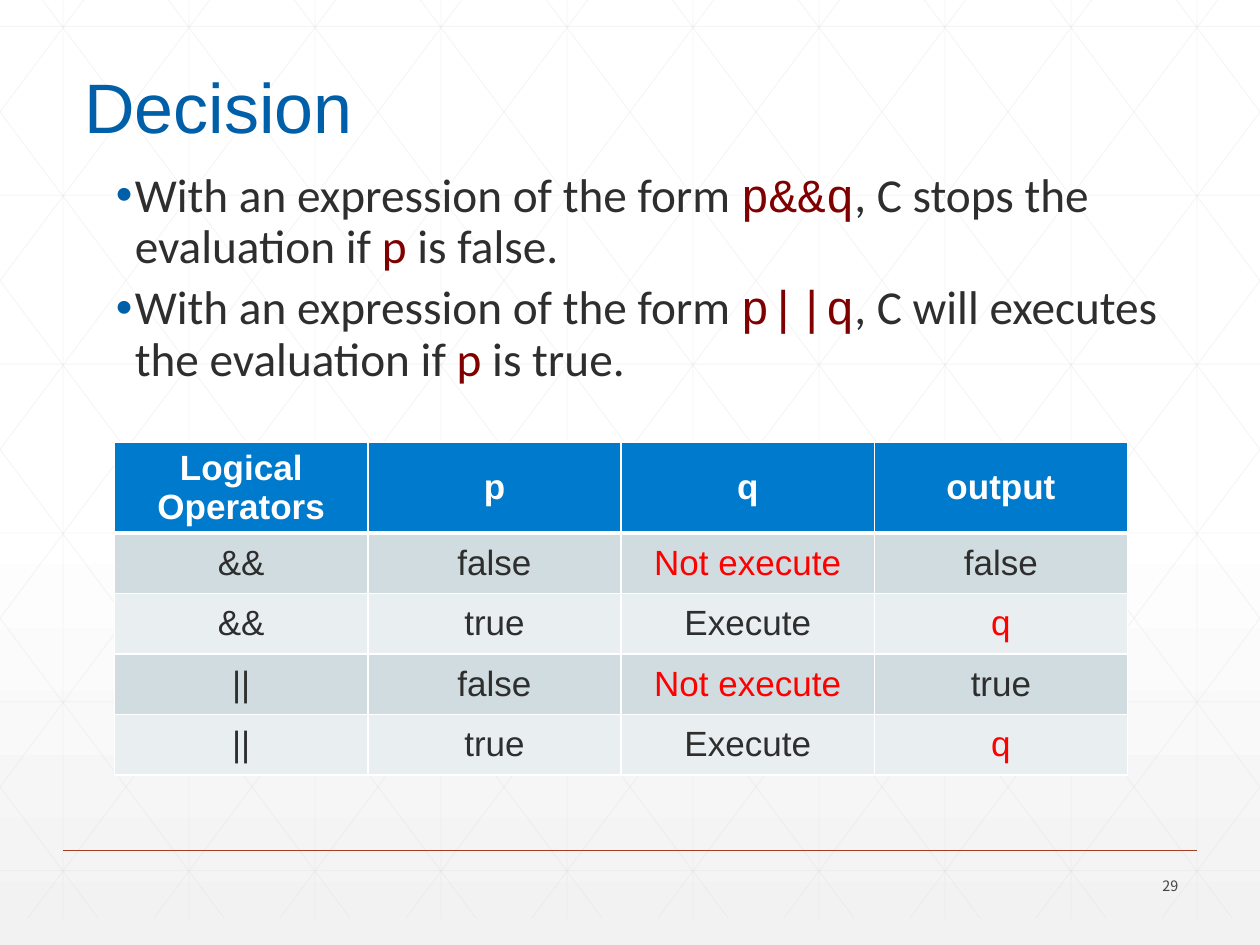
from lxml.etree import SubElement
from pptx import Presentation
from pptx.dml.color import RGBColor
from pptx.enum.shapes import MSO_CONNECTOR
from pptx.enum.text import MSO_ANCHOR, MSO_AUTO_SIZE, PP_ALIGN
from pptx.oxml.ns import qn
from pptx.util import Inches, Pt

WHITE = RGBColor(0xFF, 0xFF, 0xFF)
PALE_GRAY = RGBColor(0xF2, 0xF2, 0xF2)
GRID_GRAY = RGBColor(0xD9, 0xD9, 0xD9)
RULE_BROWN = RGBColor(0xA4, 0x3F, 0x27)
NUMBER_GRAY = RGBColor(0x42, 0x43, 0x42)
TITLE_BLUE = RGBColor(0x00, 0x5F, 0xA9)
HEADER_BLUE = RGBColor(0x00, 0x7A, 0xCC)
DARK = RGBColor(0x2D, 0x2E, 0x2D)
MAROON = RGBColor(0x80, 0x00, 0x00)
RED = RGBColor(0xFF, 0x00, 0x00)
BANDS = [RGBColor(0xD0, 0xDC, 0xE0), RGBColor(0xE9, 0xEE, 0xF0)]

# Content
TITLE = "Decision"
SLIDE_NUMBER = "29"
PLAIN = {"font": "Calibri", "color": DARK}
CODE = {"font": "Courier New", "color": MAROON}
VARIABLE = {"font": "Calibri", "color": MAROON}
BULLETS = [
    [("With an expression of the form ", PLAIN), ("p&&q", CODE),
     (", C stops the evaluation if ", PLAIN), ("p", VARIABLE), (" is false.", PLAIN)],
    [("With an expression of the form ", PLAIN), ("p||q", CODE),
     (", C will executes the evaluation if ", PLAIN), ("p", VARIABLE), (" is true.", PLAIN)],
]
TABLE_ROWS = [
    ["Logical Operators", "p", "q", "output"],
    ["&&", "false", "Not execute", "false"],
    ["&&", "true", "Execute", "q"],
    ["||", "false", "Not execute", "true"],
    ["||", "true", "Execute", "q"],
]
HIGHLIGHTED = {"Not execute", "q"}

# Background grid, in inches
SLIDE_WIDTH, SLIDE_HEIGHT = 10, 7.5
GRID_TOP, GRID_BOTTOM = -0.21, 7.29
ROW_START, ROW_GAP = 0.21, 1.34
DIAGONAL_START, DIAGONAL_RUN = 0.18, 5.6


def add_text(paragraph, text, *, font, size, color, bold=False):
    run = paragraph.add_run()
    run.text = text
    run.font.name = font
    run.font.size = Pt(size)
    run.font.bold = bold
    run.font.color.rgb = color


def add_line(shapes, start, end, color, width, opacity=None):
    points = [Inches(value) for value in (*start, *end)]
    line = shapes.add_connector(MSO_CONNECTOR.STRAIGHT, *points)
    line.line.color.rgb = color
    line.line.width = Pt(width)
    if opacity is not None:
        for color_element in line._element.iter(qn("a:srgbClr")):
            SubElement(color_element, qn("a:alpha"), val=str(opacity * 1000))
    SubElement(line._element.spPr, qn("a:effectLst"))


def add_bullet(paragraph, color, margin, indent):
    properties = paragraph._p.get_or_add_pPr()
    properties.set("marL", str(Inches(margin)))
    properties.set("indent", str(Inches(indent)))
    bullet_color = SubElement(properties, qn("a:buClr"))
    SubElement(bullet_color, qn("a:srgbClr"), val=str(color))
    SubElement(properties, qn("a:buFont"), typeface="Arial")
    SubElement(properties, qn("a:buChar"), char="•")


def add_borders(cell, widths):
    properties = cell._tc.get_or_add_tcPr()
    for side, width in zip(("lnL", "lnR", "lnT", "lnB"), widths):
        border = SubElement(properties, qn(f"a:{side}"), w=str(Pt(width)))
        fill = SubElement(border, qn("a:solidFill"))
        SubElement(fill, qn("a:srgbClr"), val=str(WHITE))


def place(shape, left, top, width, height):
    shape.left, shape.top = Inches(left), Inches(top)
    shape.width, shape.height = Inches(width), Inches(height)


def grid_lines():
    """Yield the end points of verticals, horizontals and clipped diagonals."""
    for column in range(SLIDE_WIDTH):
        yield (column + 0.5, GRID_TOP), (column + 0.5, GRID_BOTTOM)
    for row in range(6):
        y = ROW_START + row * ROW_GAP
        yield (0, y), (SLIDE_WIDTH, y)
    slope = (GRID_BOTTOM - GRID_TOP) / DIAGONAL_RUN
    for step in range(-5, 10):
        top_x = DIAGONAL_START + step
        left = max(top_x, 0)
        right = min(top_x + DIAGONAL_RUN, SLIDE_WIDTH)
        start_y, end_y = (GRID_TOP + (x - top_x) * slope for x in (left, right))
        yield (left, start_y), (right, end_y)
        yield (SLIDE_WIDTH - left, start_y), (SLIDE_WIDTH - right, end_y)


def build_background(slide):
    fill = slide.background.fill
    fill.gradient()
    fill.gradient_angle = 270
    for stop, position, color in zip(fill.gradient_stops, (0.53, 1), (WHITE, PALE_GRAY)):
        stop.position = position
        stop.color.rgb = color
    grid = slide.shapes.add_group_shape()
    for start, end in grid_lines():
        add_line(grid.shapes, start, end, GRID_GRAY, 0.5, opacity=25)
    add_line(slide.shapes, (0.5, 6.75), (9.5, 6.75), RULE_BROWN, 1)


def build_text(slide):
    # Slide number
    number = slide.shapes.add_textbox(0, 0, 0, 0)
    place(number, 8.7, 6.91, 0.75, 0.24)
    number.text_frame.word_wrap = True
    number.text_frame.vertical_anchor = MSO_ANCHOR.MIDDLE
    paragraph = number.text_frame.paragraphs[0]
    paragraph.alignment = PP_ALIGN.RIGHT
    add_text(paragraph, SLIDE_NUMBER, font="Noto Sans CJK TC", size=8.2, color=NUMBER_GRAY)

    # Placeholders go in front of the grid
    title, body = slide.placeholders[0], slide.placeholders[1]
    for placeholder in (title, body):
        placeholder._element.getparent().append(placeholder._element)

    # Title
    place(title, 0.57, 0.52, 2.35, 0.71)
    frame = title.text_frame
    frame.word_wrap = False
    frame.auto_size = MSO_AUTO_SIZE.SHAPE_TO_FIT_TEXT
    frame.vertical_anchor = MSO_ANCHOR.BOTTOM
    paragraph = frame.paragraphs[0]
    paragraph.alignment = PP_ALIGN.LEFT
    paragraph.line_spacing = 0.9
    add_text(paragraph, TITLE, font="Arial", size=40, color=TITLE_BLUE)

    # Bulleted list
    place(body, 0.41, 1.31, 8.92, 5.83)
    frame = body.text_frame
    frame.auto_size = MSO_AUTO_SIZE.NONE
    for index, runs in enumerate(BULLETS):
        paragraph = frame.add_paragraph() if index else frame.paragraphs[0]
        paragraph.level = 2
        add_bullet(paragraph, TITLE_BLUE, 0.56, -0.15)
        paragraph.line_spacing = 0.9
        paragraph.space_before = Pt(6 if index else 0)
        for text, style in runs:
            add_text(paragraph, text, size=27, **style)


def build_table(slide):
    frame = slide.shapes.add_table(len(TABLE_ROWS), len(TABLE_ROWS[0]), 0, 0, 0, 0)
    place(frame, 0.91, 3.51, 8.03, 2.63)
    table = frame.table
    for column in table.columns:
        column.width = Inches(2.01)
    for row_index, texts in enumerate(TABLE_ROWS):
        header = row_index == 0
        table.rows[row_index].height = Inches(0.71 if header else 0.48)
        for column_index, text in enumerate(texts):
            cell = table.cell(row_index, column_index)
            add_borders(cell, (1, 1, 3 if row_index == 1 else 1, 3 if header else 1))
            cell.fill.solid()
            cell.fill.fore_color.rgb = HEADER_BLUE if header else BANDS[(row_index - 1) % 2]
            cell.vertical_anchor = MSO_ANCHOR.MIDDLE
            paragraph = cell.text_frame.paragraphs[0]
            paragraph.alignment = PP_ALIGN.CENTER
            color = WHITE if header else RED if text in HIGHLIGHTED else DARK
            add_text(paragraph, text, font="Arial", size=20, color=color, bold=header)


def main():
    presentation = Presentation()
    presentation.slide_width = Inches(SLIDE_WIDTH)
    presentation.slide_height = Inches(SLIDE_HEIGHT)
    slide = presentation.slides.add_slide(presentation.slide_layouts[1])
    build_background(slide)
    build_text(slide)
    build_table(slide)
    presentation.save("out.pptx")


if __name__ == "__main__":
    main()
